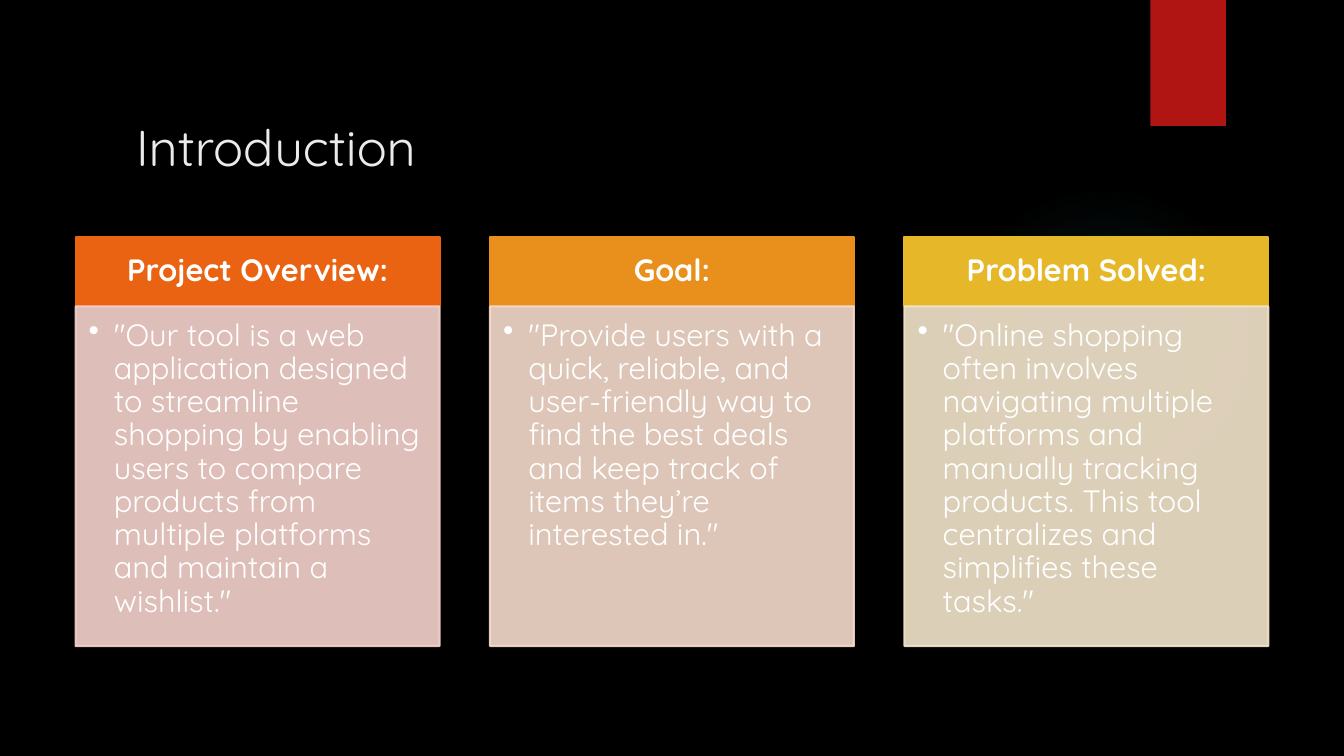
from dataclasses import dataclass

from lxml import etree
from pptx import Presentation
from pptx.dml.color import RGBColor
from pptx.enum.shapes import MSO_SHAPE
from pptx.enum.text import MSO_ANCHOR, PP_ALIGN
from pptx.oxml import parse_xml
from pptx.oxml.ns import qn
from pptx.util import Inches, Pt

RECTANGLE, OVAL = MSO_SHAPE.RECTANGLE, MSO_SHAPE.OVAL
TOP, MIDDLE = MSO_ANCHOR.TOP, MSO_ANCHOR.MIDDLE
LEFT, CENTER = PP_ALIGN.LEFT, PP_ALIGN.CENTER


@dataclass(frozen=True)
class Theme:
    font: str = "Quicksand"
    background: str = "000000"
    title: str = "EBEBEB"
    text: str = "FFFFFF"
    ribbon: str = "B01513"
    glow: str = "50B9C1"
    title_size: int = 36
    card_size: int = 22


theme = Theme()


def add_panel(kind, box, color, alpha=None):
    """Add a filled shape with a matching outline, optionally translucent."""
    shape = slide.shapes.add_shape(kind, *[Inches(length) for length in box])
    shape.shadow.inherit = False
    shape.line.width = Pt(1.5)
    for fill in (shape.fill, shape.line.fill):
        fill.solid()
        fill.fore_color.rgb = RGBColor.from_string(color)
    if alpha is not None:
        for element in shape.element.spPr.iter(qn("a:srgbClr")):
            etree.SubElement(element, qn("a:alpha"), val=str(alpha * 1000))
    return shape


def write_text(shape, text, size, color, anchor, align, insets, bold=False):
    """Fill a shape with one formatted paragraph and return that paragraph."""
    frame = shape.text_frame
    frame.text = text
    frame.word_wrap = True
    frame.vertical_anchor = anchor
    (frame.margin_left, frame.margin_top,
     frame.margin_right, frame.margin_bottom) = [Inches(inset) for inset in insets]
    paragraph = frame.paragraphs[0]
    paragraph.alignment = align
    font = paragraph.runs[0].font
    font.name, font.size, font.bold = theme.font, Pt(size), bold
    font.color.rgb = RGBColor.from_string(color)
    return paragraph


presentation = Presentation()
presentation.slide_width, presentation.slide_height = Inches(13.33), Inches(7.5)
slide = presentation.slides.add_slide(presentation.slide_layouts[5])
slide.background.fill.solid()
slide.background.fill.fore_color.rgb = RGBColor.from_string(theme.background)

# Soft glow behind the cards
glow = add_panel(OVAL, (9.41, 1.83, 3.08, 3.08), theme.glow)
glow.line.fill.background()
stops = "".join(
    f'<a:gs pos="{position * 1000}"><a:srgbClr val="{theme.glow}">'
    f'<a:alpha val="{alpha * 1000}"/></a:srgbClr></a:gs>'
    for position, alpha in ((0, 7), (36, 6), (69, 0), (100, 0)))
gradient = parse_xml(
    '<a:gradFill xmlns:a="http://schemas.openxmlformats.org/drawingml/2006/main">'
    f'<a:gsLst>{stops}</a:gsLst><a:path path="circle">'
    '<a:fillToRect l="50000" t="50000" r="50000" b="50000"/></a:path></a:gradFill>')
properties = glow.element.spPr
properties.replace(properties.find(qn("a:solidFill")), gradient)

# Red ribbon
ribbon = add_panel(RECTANGLE, (11.41, 0, 0.75, 1.25), theme.ribbon)
ribbon.line.fill.background()

# Title
title = slide.shapes.title
title.left, title.top = Inches(1.25), Inches(1.08)
title.width, title.height = Inches(10.83), Inches(0.75)
write_text(title, "Introduction", theme.title_size, theme.title, MIDDLE, LEFT,
           (0.1, 0.05, 0.1, 0.05))

# Cards: heading, heading colour, body colour, body text
cards = [
    ("Project Overview:", "EA6312", "F7D3CC",
     '"Our tool is a web application designed to streamline shopping by enabling '
     'users to compare products from multiple platforms and maintain a wishlist."'),
    ("Goal:", "E9901C", "F6DCCD",
     '"Provide users with a quick, reliable, and user-friendly way to find the best '
     'deals and keep track of items they’re interested in."'),
    ("Problem Solved:", "E6B729", "F5E6CD",
     '"Online shopping often involves navigating multiple platforms and manually '
     'tracking products. This tool centralizes and simplifies these tasks."'),
]
card_left, card_top, card_width, card_step = 0.75, 2.35, 3.61, 4.11
heading_height, body_height = 0.69, 3.37

for index, (heading, heading_color, body_color, body) in enumerate(cards):
    left = card_left + index * card_step
    header = add_panel(RECTANGLE, (left, card_top, card_width, heading_height),
                       heading_color)
    paragraph = write_text(header, heading, theme.card_size, theme.text, MIDDLE, CENTER,
                           (0.17, 0.1, 0.17, 0.1), bold=True)
    paragraph.line_spacing = 0.9

    panel = add_panel(RECTANGLE,
                      (left, card_top + heading_height, card_width, body_height),
                      body_color, alpha=90)
    paragraph = write_text(panel, body, theme.card_size, theme.text, TOP, LEFT,
                           (0.13, 0.13, 0.17, 0.19))
    paragraph.line_spacing = 0.9
    bullet_properties = paragraph._p.get_or_add_pPr()
    bullet_properties.set("marL", str(Inches(0.25)))
    bullet_properties.set("indent", str(Inches(-0.25)))
    etree.SubElement(bullet_properties, qn("a:buChar"), char="•")

presentation.save("out.pptx")
